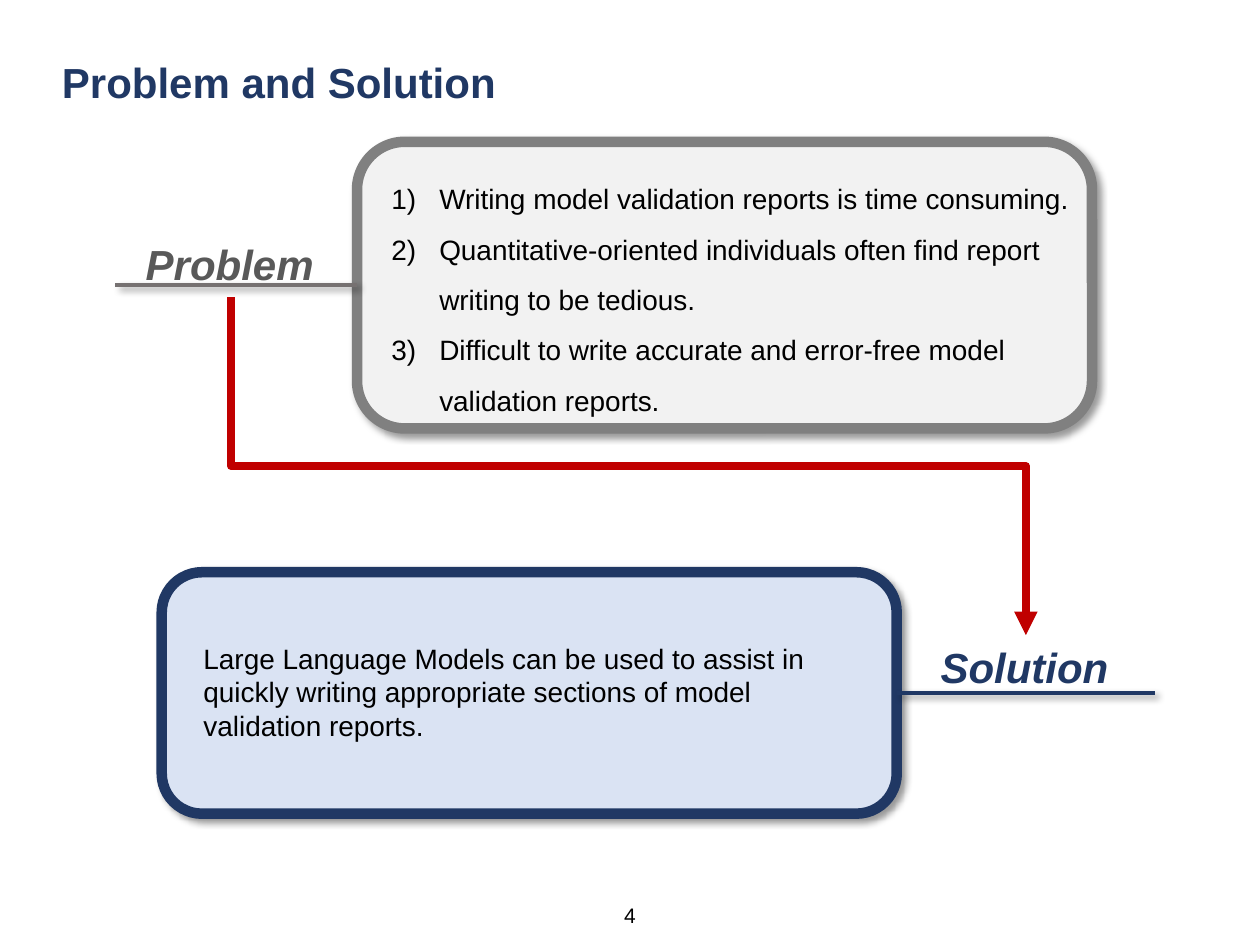
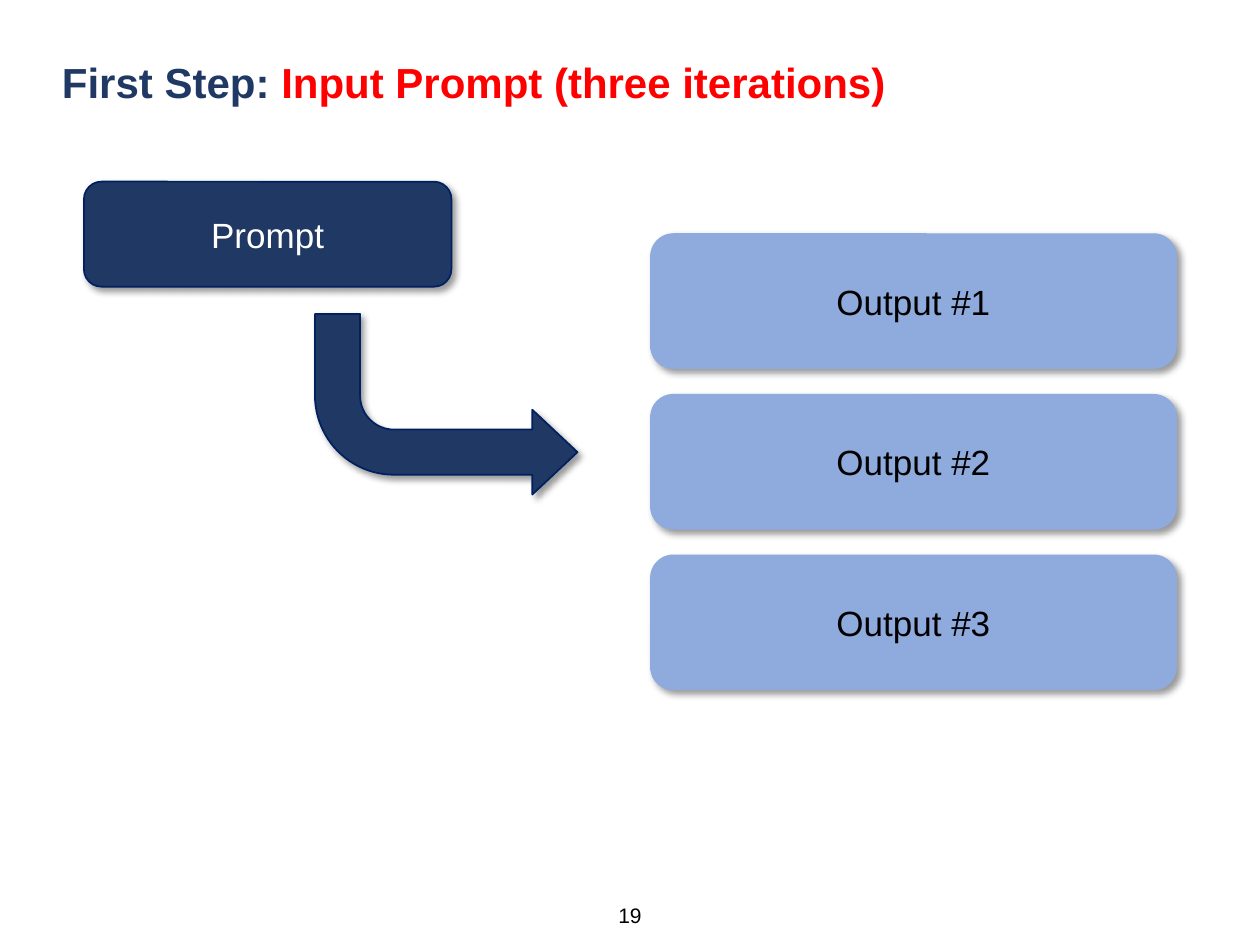
from lxml import etree
from pptx import Presentation
from pptx import util as u
from pptx.dml.color import RGBColor
from pptx.enum import shapes, text
from pptx.oxml.ns import qn

COLS, ROWS = 120, 90
NAVY, DEEP, SKY, ICE = "203864", "002060", "8FAADC", "DAE3F3"
GREY, PALE, ASH, SLATE = "808080", "F2F2F2", "767171", "595959"
RED, WINE, BLACK, WHITE = "FF0000", "C00000", "000000", "FFFFFF"
LABEL = {"size": 24, "bold": True, "italic": True}
HEAD = {"size": 24, "bold": True}

deck = Presentation()
deck.slide_width, deck.slide_height = u.Inches(10), u.Inches(7.5)
CELL = deck.slide_width / COLS


def grid(*spans):
    """Turn grid units into slide lengths."""
    return [u.Emu(round(span * CELL)) for span in spans]


def tint(code):
    """Make a colour from a hex string."""
    return RGBColor.from_string(code)


def sub(node, tag, **attrs):
    """Add an XML child with attributes."""
    child = etree.SubElement(node, qn(tag))
    for key, val in attrs.items():
        child.set(key, str(val))
    return child


def shade(item, cast=True):
    """Give a shape the shared soft shadow, or none."""
    fx = sub(item.element.spPr, "a:effectLst")
    if cast:
        drop = sub(fx, "a:outerShdw", blurRad=u.Pt(4), dist=u.Pt(3),
                   dir=45 * 60000, algn="tl", rotWithShape=0)
        sub(sub(drop, "a:srgbClr", val=BLACK), "a:alpha", val=40000)


def style(run, code, size=16, **form):
    """Format one run of text."""
    run.font.name, run.font.size = "Arial", u.Pt(size)
    run.font.color.rgb = tint(code)
    for key, val in form.items():
        setattr(run.font, key, val)


def write(frame, lines, code=BLACK, align=text.PP_ALIGN.LEFT, **form):
    """Fill a text frame with one paragraph per line."""
    for idx, line in enumerate(lines):
        par = frame.add_paragraph() if idx else frame.paragraphs[0]
        par.alignment = align
        run = par.add_run()
        run.text = line
        style(run, code, **form)


def note(slide, box, lines, wrap=True, pad=None, **form):
    """Place a text box on the grid."""
    frame = slide.shapes.add_textbox(*grid(*box)).text_frame
    frame.word_wrap = wrap
    if pad is not None:
        for side in ("left", "right", "top", "bottom"):
            setattr(frame, "margin_" + side, pad)
    write(frame, lines, **form)
    return frame


def page(runs, num):
    """Start a slide with its title and page number."""
    slide = deck.slides.add_slide(deck.slide_layouts[5])
    head = slide.shapes.title
    head.left, head.top, head.width, head.height = grid(4.7, 4.8, 112.3, 6)
    frame = head.text_frame
    frame.word_wrap, frame.auto_size = True, text.MSO_AUTO_SIZE.NONE
    frame.vertical_anchor = text.MSO_ANCHOR.TOP
    par = frame.paragraphs[0]
    par.alignment, par.space_before = text.PP_ALIGN.LEFT, u.Pt(0)
    for words, code in runs:
        run = par.add_run()
        run.text = words
        style(run, code, **HEAD)
    note(slide, (58, 86, 4, 2.4), [num], pad=0, size=12,
         align=text.PP_ALIGN.CENTER)
    return slide


def block(slide, kind, box, fill, edge, thick=1):
    """Draw a filled shape with an outline and a shadow."""
    item = slide.shapes.add_shape(kind, *grid(*box))
    item.fill.solid()
    item.fill.fore_color.rgb = tint(fill)
    item.line.color.rgb, item.line.width = tint(edge), u.Pt(thick)
    shade(item)
    return item


def card(slide, box, words, fill, edge, code):
    """Draw a rounded card with centred words."""
    item = block(slide, shapes.MSO_SHAPE.ROUNDED_RECTANGLE, box, fill, edge)
    frame = item.text_frame
    frame.word_wrap, frame.vertical_anchor = True, text.MSO_ANCHOR.MIDDLE
    write(frame, [words], code, text.PP_ALIGN.CENTER, size=20)


def link(slide, kind, ends, code, thick, cast=True):
    """Draw a connector between two grid points."""
    line = slide.shapes.add_connector(kind, *grid(*ends))
    line.line.color.rgb, line.line.width = tint(code), u.Pt(thick)
    shade(line, cast)
    return line


def panel(slide, box, fill, edge, inset, lines):
    """Draw a framed panel with text inset by shares of its box."""
    left, top, wide, high = box
    item = block(slide, shapes.MSO_SHAPE.ROUNDED_RECTANGLE,
                 box, fill, edge, 6)
    dx, dy, dw, dh = inset
    area = (left + dx * wide, top + dy * high, dw * wide, dh * high)
    return item, note(slide, area, lines)


def label(slide, item, side, far, box, words, code, rule):
    """Name a panel beside a rule joined to its side."""
    mid = (item.top + item.height / 2) / CELL
    line = link(slide, shapes.MSO_CONNECTOR.STRAIGHT,
                (far, mid, far, mid), rule, 2.25)
    line.end_connect(item, side)
    left, rise, wide = box
    note(slide, (left, mid - rise, wide, 6), [words], wrap=False,
         code=code, **LABEL)


def count(frame):
    """Number the paragraphs of a frame with a hanging indent."""
    for par in frame.paragraphs:
        par.line_spacing = 1.5
        prop = par._p.get_or_add_pPr()
        hang = u.Inches(0.38)
        prop.set("marL", str(hang))
        prop.set("indent", str(-hang))
        sub(prop, "a:buFont", typeface="+mj-lt")
        sub(prop, "a:buAutoNum", type="arabicParenR")


def route(slide, start, end):
    """Lead an elbow arrow down, across and down again."""
    (left, top), (right, low) = start, end
    midx, midy = (left + right) / 2, (top + low) / 2
    halfx, halfy = (right - left) / 2, (low - top) / 2
    ends = midx + halfy, midy - halfx, midx - halfy, midy + halfx
    line = link(slide, shapes.MSO_CONNECTOR.ELBOW, ends, WINE, 4.5, False)
    line.element.spPr.find(qn("a:xfrm")).set("rot", str(270 * 60000))
    sub(line.element.spPr.find(qn("a:ln")), "a:tailEnd", type="triangle")


def turn(slide, box):
    """Draw the bent arrow from the prompt to the outputs."""
    item = block(slide, shapes.MSO_SHAPE.BENT_ARROW, box, NAVY, DEEP)
    for idx, val in enumerate((0.25, 0.235, 0.25, 0.438)):
        item.adjustments[idx] = val
    item.rotation = 180
    item.element.spPr.find(qn("a:xfrm")).set("flipH", "1")


def stack(slide, box, names):
    """Stack equal cards down a box with even gaps."""
    left, top, wide, high = box
    tall = 12.75
    step = (high - tall) / (len(names) - 1)
    for idx, name in enumerate(names):
        card(slide, (left, top + idx * step, wide, tall), name,
             SKY, SKY, BLACK)


def main():
    """Build both slides and save the deck."""
    slide = page([("Problem and Solution", NAVY)], "4")
    item, frame = panel(
        slide, (34, 13.5, 70, 27.3), PALE, GREY, (0.03, 0.06, 0.98, 0.91),
        ["Writing model validation reports is time consuming.",
         "Quantitative-oriented individuals often find report writing "
         "to be tedious.",
         "Difficult to write accurate and error-free model validation "
         "reports."])
    count(frame)
    label(slide, item, 1, 11, (12.7, 5, 18.6), "Problem", SLATE, ASH)
    item, frame = panel(
        slide, (15.4, 54.5, 70, 23), ICE, NAVY, (0.04, 0.26, 0.93, 0.47),
        ["Large Language Models can be used to assist in quickly writing "
         "appropriate sections of model validation reports."])
    label(slide, item, 3, 110, (88.4, 5.5, 18.5), "Solution", NAVY, NAVY)
    route(slide, (22, 28.3), (97.7, 60.5))

    slide = page([("First Step: ", NAVY),
                  ("Input Prompt (three iterations)", RED)], "19")
    card(slide, (8, 17.3, 35, 10), "Prompt", NAVY, DEEP, WHITE)
    turn(slide, (30, 29.9, 25, 17.2))
    stack(slide, (62, 22.3, 50, 43.35),
          [f"Output #{num}" for num in (1, 2, 3)])
    deck.save("out.pptx")


if __name__ == "__main__":
    main()
